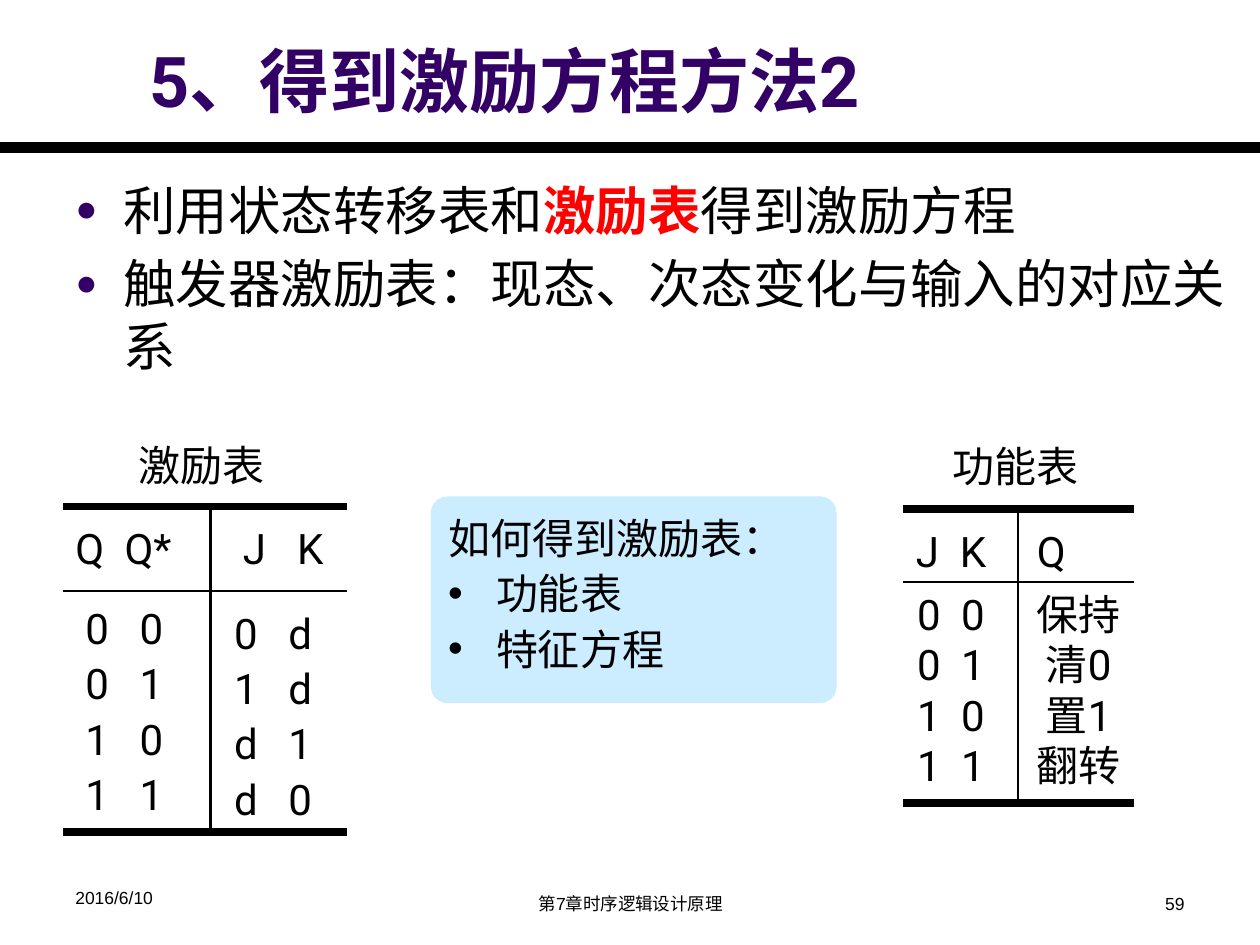
import pptx
import pptx.dml.color
import pptx.enum.shapes
import pptx.enum.text
import pptx.oxml.ns
import pptx.util
from lxml import etree

Inches = pptx.util.Inches
Pt = pptx.util.Pt
ALIGN = pptx.enum.text.PP_ALIGN
ANCHOR = pptx.enum.text.MSO_ANCHOR
COLORS = {"black": "000000", "purple": "330066", "red": "FF0000", "pale_blue": "CCECFF"}

TITLE = {"size": Pt(40), "name": "Roboto", "bold": True}
BODY = {"size": Pt(30), "name": "Arial"}
CAPTION = {"size": Pt(24), "name": "Arial"}
CELL = {"size": Pt(24), "name": "Roboto"}
FOOTER = {"size": Pt(10), "name": "Arial"}
LOOSE = {"line_spacing": 1.1}
CENTERED = {"alignment": ALIGN.CENTER}


def color(name):
    return pptx.dml.color.RGBColor.from_string(COLORS[name])


def set_attributes(target, values):
    for name, value in values.items():
        setattr(target, name, value)


def add_element(parent, tag, **attributes):
    element = etree.SubElement(parent, pptx.oxml.ns.qn(tag))
    for name, value in attributes.items():
        element.set(name, str(value))
    return element


def add_bullet(paragraph, character, size=None, color_name=None):
    properties = paragraph._p.get_or_add_pPr()
    properties.set("marL", str(Inches(0.38)))
    properties.set("indent", str(-Inches(0.38)))
    if color_name:
        add_element(add_element(properties, "a:buClr"), "a:srgbClr", val=COLORS[color_name])
    if size:
        add_element(properties, "a:buSzPct", val=size * 1000)
    add_element(properties, "a:buFont", typeface="Arial")
    add_element(properties, "a:buChar", char=character)


def add_tabs(paragraph, positions):
    tab_list = add_element(paragraph._p.get_or_add_pPr(), "a:tabLst")
    for position in positions:
        add_element(tab_list, "a:tab", pos=Inches(position), algn="l")


def add_run(paragraph, text, font, color_name="black"):
    run = paragraph.add_run()
    run.text = text
    set_attributes(run.font, font)
    run.font.color.rgb = color(color_name)


def fill_text(shape, lines, font, layout=None, tabs=(), color_name="black"):
    frame = shape.text_frame
    frame.word_wrap = True
    for index, line in enumerate(lines):
        paragraph = frame.paragraphs[0] if index == 0 else frame.add_paragraph()
        set_attributes(paragraph, {"alignment": ALIGN.LEFT, **(layout or {})})
        if tabs:
            add_tabs(paragraph, tabs)
        add_run(paragraph, line, font, color_name)
    return frame


def add_text(slide, box, lines, font, layout=None, tabs=(), color_name="black"):
    shape = slide.shapes.add_textbox(*map(Inches, box))
    return fill_text(shape, lines, font, layout, tabs, color_name)


def add_line(slide, start, end, width):
    line = slide.shapes.add_connector(
        pptx.enum.shapes.MSO_CONNECTOR.STRAIGHT, *map(Inches, start + end))
    line.line.width = Pt(width)
    line.line.color.rgb = color("black")
    add_element(line._element.spPr, "a:effectLst")


def add_rules(slide, left, right, divider, top, header_bottom, bottom):
    for y, width in ((top, 4.5), (header_bottom, 1.5), (bottom, 4.5)):
        add_line(slide, (left, y), (right, y), width)
    add_line(slide, (divider, top), (divider, bottom), 1.5)


def add_body(slide):
    frame = add_text(slide, (0.5, 1.36, 9.5, 1.69), ["利用状态转移表和"], BODY)
    first = frame.paragraphs[0]
    add_run(first, "激励表", {**BODY, "bold": True}, "red")
    add_run(first, "得到激励方程", BODY)
    second = frame.add_paragraph()
    second.space_before = Pt(6)
    add_run(second, "触发器激励表：现态、次态变化与输入的对应关系", BODY)
    for paragraph in (first, second):
        add_bullet(paragraph, "●", 70, "purple")


def add_excitation_table(slide):
    tabs = [0.43]
    add_text(slide, (1, 3.44, 1.21, 0.51), ["激励表"], CAPTION)
    add_rules(slide, 0.5, 2.75, 1.67, 4.02, 4.69, 6.6)
    add_text(slide, (0.5, 4.1, 1.07, 0.51), ["Q\tQ*"], CELL, tabs=[0.39])
    add_text(slide, (1.83, 4.1, 0.86, 0.51), ["J\tK"], CELL, tabs=tabs)
    add_text(slide, (0.58, 4.69, 0.89, 1.88),
             ["0\t0", "0\t1", "1\t0", "1\t1"], CELL, LOOSE, tabs)
    add_text(slide, (1.76, 4.73, 0.89, 1.84),
             ["0\td", "1\td", "d\t1", "d\t0"], CELL, LOOSE, tabs)


def add_function_table(slide):
    add_text(slide, (7.46, 3.45, 1.21, 0.51), ["功能表"], CAPTION)
    add_rules(slide, 7.17, 9, 8.08, 4.04, 4.62, 6.37)
    add_text(slide, (7.17, 4.12, 1.52, 0.51), ["J\tK\tQ"], CELL, tabs=[0.35, 0.96])
    add_text(slide, (7.18, 4.62, 0.89, 1.72),
             ["0\t0", "0\t1", "1\t0", "1\t1"], CELL, tabs=[0.35])
    add_text(slide, (8.12, 4.62, 0.88, 1.72),
             ["保持", "清0", "置1", "翻转"], CELL, CENTERED)


def add_callout(slide):
    shape = slide.shapes.add_shape(
        pptx.enum.shapes.MSO_SHAPE.ROUNDED_RECTANGLE,
        *map(Inches, (3.42, 3.94, 3.22, 1.64)))
    shape.adjustments[0] = 0.08
    shape.shadow.inherit = False
    shape.fill.solid()
    shape.fill.fore_color.rgb = color("pale_blue")
    shape.line.fill.background()
    frame = fill_text(shape, ["如何得到激励表：", "功能表", "特征方程"], CAPTION, LOOSE)
    frame.vertical_anchor = ANCHOR.TOP
    for paragraph in frame.paragraphs[1:]:
        add_bullet(paragraph, "•")


def add_footer(slide):
    add_text(slide, (0.5, 6.99, 2.33, 0.34), ["2016/6/10"], FOOTER)
    add_text(slide, (3.42, 7.04, 3.17, 0.29), ["第7章时序逻辑设计原理"], FOOTER, CENTERED)
    add_text(slide, (7.17, 7.04, 2.33, 0.29), ["59"], FOOTER, {"alignment": ALIGN.RIGHT})


def main():
    presentation = pptx.Presentation()
    set_attributes(presentation, {"slide_width": Inches(10), "slide_height": Inches(7.5)})
    slide = presentation.slides.add_slide(presentation.slide_layouts[6])
    add_line(slide, (0, 1.17), (10, 1.17), 6)
    title = add_text(slide, (1.09, 0.2, 7.55, 0.81), ["5、得到激励方程方法2"],
                     TITLE, color_name="purple")
    title.vertical_anchor = ANCHOR.BOTTOM
    add_body(slide)
    add_excitation_table(slide)
    add_callout(slide)
    add_function_table(slide)
    add_footer(slide)
    presentation.save("out.pptx")


if __name__ == "__main__":
    main()
